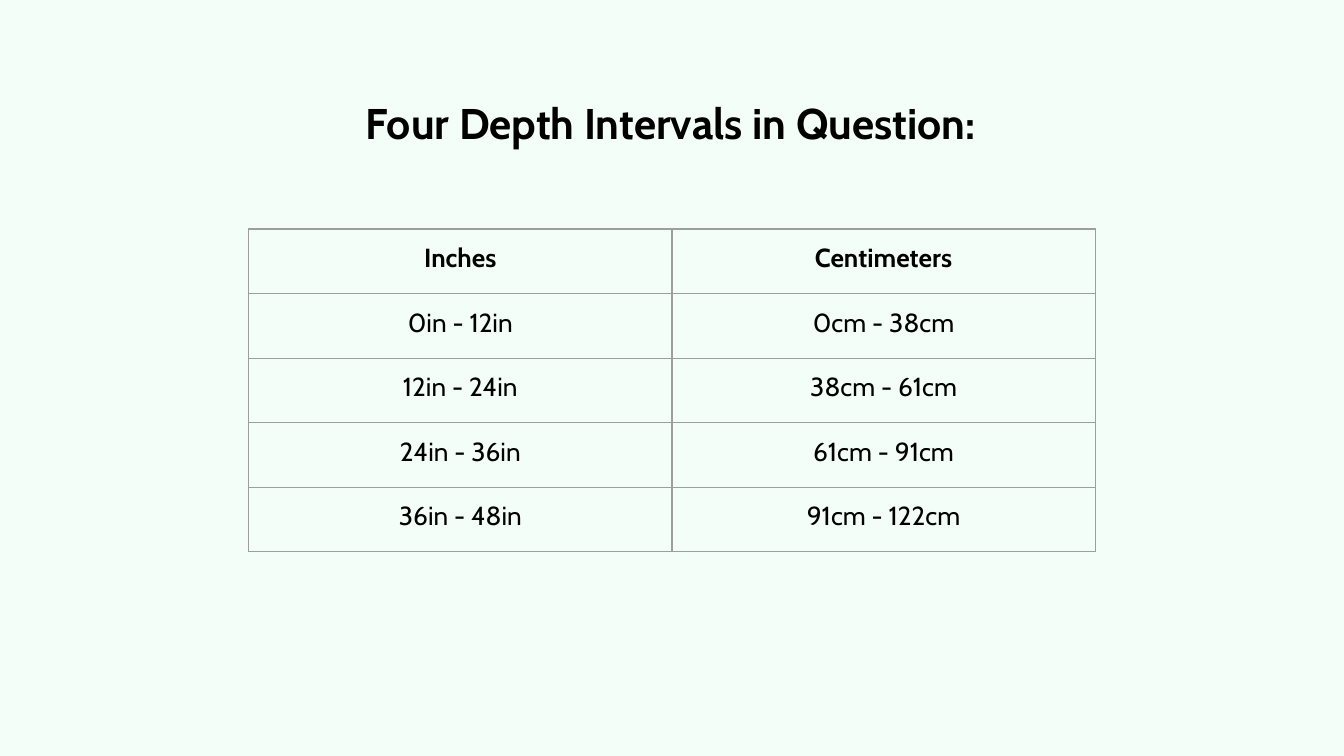
import pptx
import pptx.dml.color
import pptx.enum.text
import pptx.oxml.ns
import pptx.util
from lxml import etree

Cm = pptx.util.Cm
Pt = pptx.util.Pt
RGBColor = pptx.dml.color.RGBColor

MINT = RGBColor(0xF2, 0xFE, 0xF7)
BLACK = RGBColor(0x00, 0x00, 0x00)
GREY = RGBColor(0x9E, 0x9E, 0x9E)

FONT = "Cabin"
INSET = Cm(0.25)
INTERVALS = [
    ("Inches", "Centimeters"),
    ("0in - 12in", "0cm - 38cm"),
    ("12in - 24in", "38cm - 61cm"),
    ("24in - 36in", "61cm - 91cm"),
    ("36in - 48in", "91cm - 122cm"),
]


def style_text(tf, size, bold):
    """Centre the first paragraph and format its run."""
    p = tf.paragraphs[0]
    p.alignment = pptx.enum.text.PP_ALIGN.CENTER
    font = p.runs[0].font
    font.name, font.size, font.bold = FONT, Pt(size), bold
    font.color.rgb = BLACK


def set_insets(box):
    box.margin_left = box.margin_right = INSET
    box.margin_top = box.margin_bottom = INSET


def add_borders(cell, color, width):
    qn = pptx.oxml.ns.qn
    tcPr = cell._tc.get_or_add_tcPr()
    for side in ("lnL", "lnR", "lnT", "lnB"):
        ln = etree.SubElement(tcPr, qn(f"a:{side}"), w=str(Pt(width)))
        fill = etree.SubElement(ln, qn("a:solidFill"))
        etree.SubElement(fill, qn("a:srgbClr"), val=str(color))


def add_title(slide, left, top, width, height):
    tf = slide.shapes.add_textbox(left, top, width, height).text_frame
    tf.word_wrap = True
    set_insets(tf)
    tf.text = "Four Depth Intervals in Question:"
    style_text(tf, 23, True)


def add_interval_table(slide, left, top, width, height):
    shape = slide.shapes.add_table(
        len(INTERVALS), len(INTERVALS[0]), left, top, width, height)
    table = shape.table
    table.first_row = table.horz_banding = False
    for i, row in enumerate(INTERVALS):
        for j, text in enumerate(row):
            cell = table.cell(i, j)
            set_insets(cell)
            add_borders(cell, GREY, 0.75)
            cell.fill.background()
            cell.text = text
            style_text(cell.text_frame, 14, i == 0)


def main():
    prs = pptx.Presentation()
    prs.slide_width, prs.slide_height = Cm(25.4), Cm(14.29)
    slide = prs.slides.add_slide(prs.slide_layouts[6])

    # Background
    fill = slide.background.fill
    fill.solid()
    fill.fore_color.rgb = MINT

    # Depth table, then the heading above it
    add_interval_table(slide, Cm(4.7), Cm(4.33), Cm(16), Cm(6.1))
    add_title(slide, Cm(4.85), Cm(1.57), Cm(15.67), Cm(1.5))

    prs.save("out.pptx")


if __name__ == "__main__":
    main()
